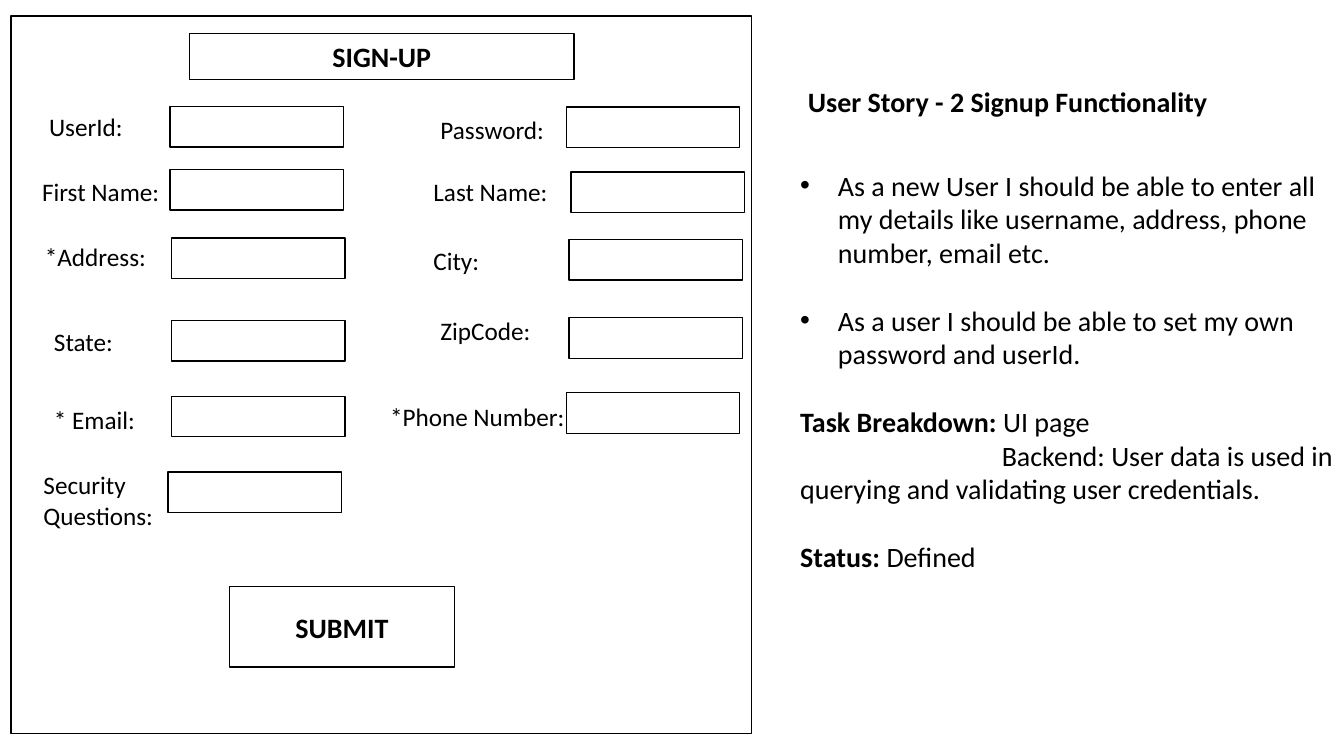
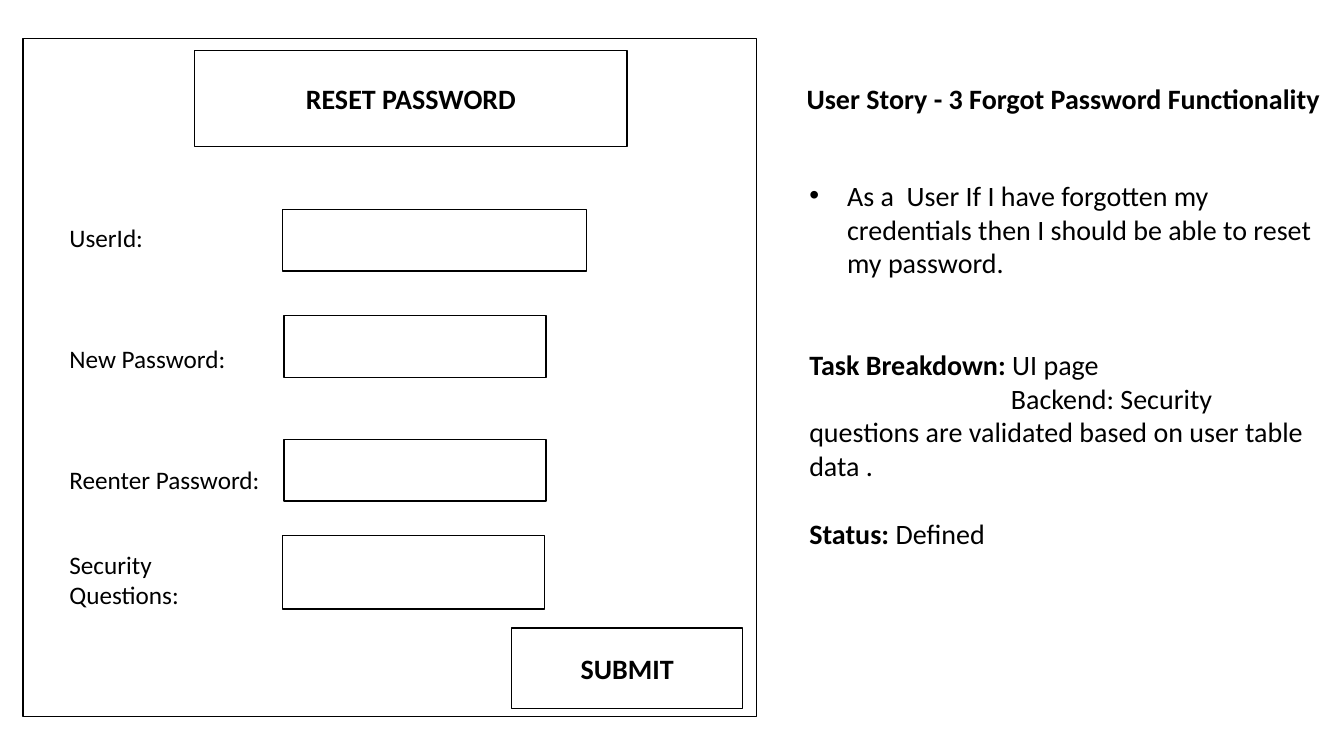
from lxml.etree import SubElement
from pptx import Presentation
from pptx.dml.color import RGBColor
from pptx.enum.shapes import MSO_SHAPE
from pptx.enum.text import MSO_ANCHOR, PP_ALIGN
from pptx.oxml.ns import qn
from pptx.util import Pt

# Shared style
FONT = "Calibri"
INK, PAPER = "000000", "FFFFFF"
LABEL_SIZE, STORY_SIZE = 18, 20
BULLET_INDENT = 27
BACKEND_INDENT = 144
LINE_GAP = 24.4
SIGNUP_FIELD = (124, 29)

# Sign-up fields: label, label left, top, width, then field left, top
SIGNUP_FIELDS = [
    ("UserId:", 28, 76, 124, 121.5, 76),
    ("First Name:", 23, 122.5, 124, 121.5, 121),
    ("*Address:", 25, 168.5, 124, 122.5, 170),
    ("State:", 31.5, 229.5, 124, 122.5, 229),
    ("* Email:", 31.5, 285, 124, 122.5, 283),
    ("Security Questions:", 24, 332, 114, 120, 337),
    ("Password:", 307.5, 78, 124, 404.5, 76.5),
    ("Last Name:", 302.5, 122.5, 102, 408, 123),
    ("City:", 302.5, 171.5, 124, 406.5, 171),
    ("ZipCode:", 307.5, 222, 124, 406.5, 227),
    ("*Phone Number:", 271.5, 283, 150.5, 404.5, 280.5),
]

# Reset fields: label, label top, label width, then field left, top, width, height
RESET_FIELDS = [
    ("UserId:", 155.5, 132.5, 202, 149.5, 217, 44),
    ("New Password:", 241.5, 132.5, 203, 225.5, 187, 44),
    ("Reenter Password:", 328, 159, 203, 314, 187, 44),
    ("Security Questions:", 389, 150.5, 202, 382.5, 187, 52.5),
]


def color(value):
    return RGBColor.from_string(value)


def style(paragraph, size, bold=False):
    font = paragraph.font
    font.name, font.size, font.bold = FONT, Pt(size), bold
    font.color.rgb = color(INK)


def add_box(slide, left, top, width, height, caption=""):
    """Outlined rectangle, with an optional bold caption in the middle."""
    box = slide.shapes.add_shape(
        MSO_SHAPE.RECTANGLE, Pt(left), Pt(top), Pt(width), Pt(height))
    box.shadow.inherit = False
    box.fill.solid()
    box.fill.fore_color.rgb = color(PAPER)
    box.line.color.rgb = color(INK)
    box.line.width = Pt(1)
    if caption:
        frame = box.text_frame
        frame.vertical_anchor = MSO_ANCHOR.MIDDLE
        paragraph = frame.paragraphs[0]
        paragraph.text = caption
        paragraph.alignment = PP_ALIGN.CENTER
        style(paragraph, STORY_SIZE, bold=True)


def add_frame(slide, left, top, width, height, wrap=True):
    textbox = slide.shapes.add_textbox(Pt(left), Pt(top), Pt(width), Pt(height))
    textbox.text_frame.word_wrap = wrap
    return textbox.text_frame


def add_label(slide, text, left, top, width, height=29):
    paragraph = add_frame(slide, left, top, width, height).paragraphs[0]
    paragraph.text = text
    style(paragraph, LABEL_SIZE)


def add_heading(slide, text, left, top, width):
    paragraph = add_frame(slide, left, top, width, 31.5, wrap=False).paragraphs[0]
    paragraph.text = text
    style(paragraph, STORY_SIZE, bold=True)


def indent(paragraph, margin, first_line):
    properties = paragraph._p.get_or_add_pPr()
    properties.set("marL", str(Pt(margin)))
    properties.set("indent", str(Pt(first_line)))
    return properties


def add_story(slide, area, bullets, backend, task_gap):
    """User story bullets, then the task breakdown and the status."""
    frame = add_frame(slide, *area)

    def add_line(text, lead="", gap=0):
        first = frame.paragraphs[0]
        paragraph = frame.add_paragraph() if first.runs else first
        if lead:
            run = paragraph.add_run()
            run.text, run.font.bold = lead, True
        paragraph.add_run().text = text
        paragraph.space_before = Pt(gap)
        return paragraph

    for number, bullet in enumerate(bullets):
        paragraph = add_line(bullet, gap=LINE_GAP if number else 0)
        properties = indent(paragraph, BULLET_INDENT, -BULLET_INDENT)
        SubElement(properties, qn("a:buFont"), typeface="Arial")
        SubElement(properties, qn("a:buChar"), char="•")
    add_line("UI page", "Task Breakdown: ", task_gap)
    indent(add_line("Backend: " + backend), 0, BACKEND_INDENT)
    add_line("Defined", "Status: ", LINE_GAP)
    for paragraph in frame.paragraphs:
        style(paragraph, STORY_SIZE)


def build_signup(slide):
    # Form
    add_box(slide, 8, 11.5, 529, 512.5)
    add_box(slide, 135.5, 24, 274.5, 33, "SIGN-UP")
    add_box(slide, 164, 419, 160.5, 57.5, "SUBMIT")
    for text, left, top, width, field_left, field_top in SIGNUP_FIELDS:
        add_box(slide, field_left, field_top, *SIGNUP_FIELD)
        add_label(slide, text, left, top, width)

    # Story
    add_heading(slide, "User Story - 2 Signup Functionality", 570, 57, 302.5)
    add_story(
        slide, (564.5, 116.5, 396, 298),
        ["As a new User I should be able to enter all my details like "
         "username, address, phone number, email etc.",
         "As a user I should be able to set my own password and userId."],
        "User data is used in querying and validating user credentials.",
        LINE_GAP)


def build_reset(slide):
    # Form
    add_box(slide, 16.5, 27.5, 524, 484.5)
    add_box(slide, 139, 36, 309, 68.5, "RESET PASSWORD")
    add_box(slide, 365.5, 448.5, 165, 57.5, "SUBMIT")
    for text, top, width, *field in RESET_FIELDS:
        add_box(slide, *field)
        add_label(slide, text, 42.5, top, width)

    # Story
    add_heading(slide, "User Story - 3 Forgot Password Functionality", 569, 54.5, 384)
    add_story(
        slide, (571, 124, 381.5, 298),
        ["As a  User If I have forgotten my credentials then I should be "
         "able to reset my password."],
        "Security questions are validated based on user table data .",
        2 * LINE_GAP)


def main():
    deck = Presentation()
    deck.slide_width, deck.slide_height = Pt(960), Pt(540)
    for build in (build_signup, build_reset):
        build(deck.slides.add_slide(deck.slide_layouts[6]))
    deck.save("out.pptx")


if __name__ == "__main__":
    main()
